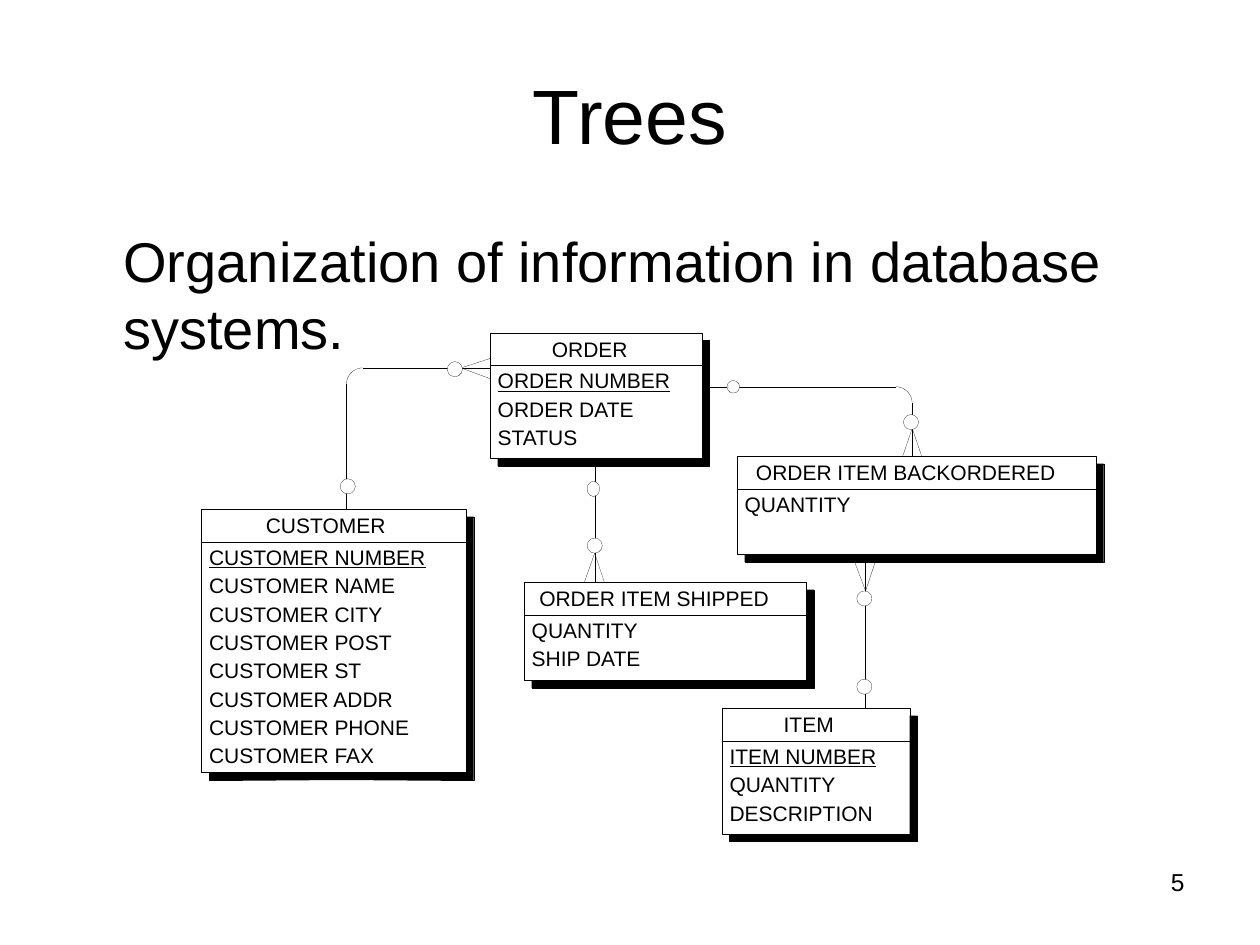
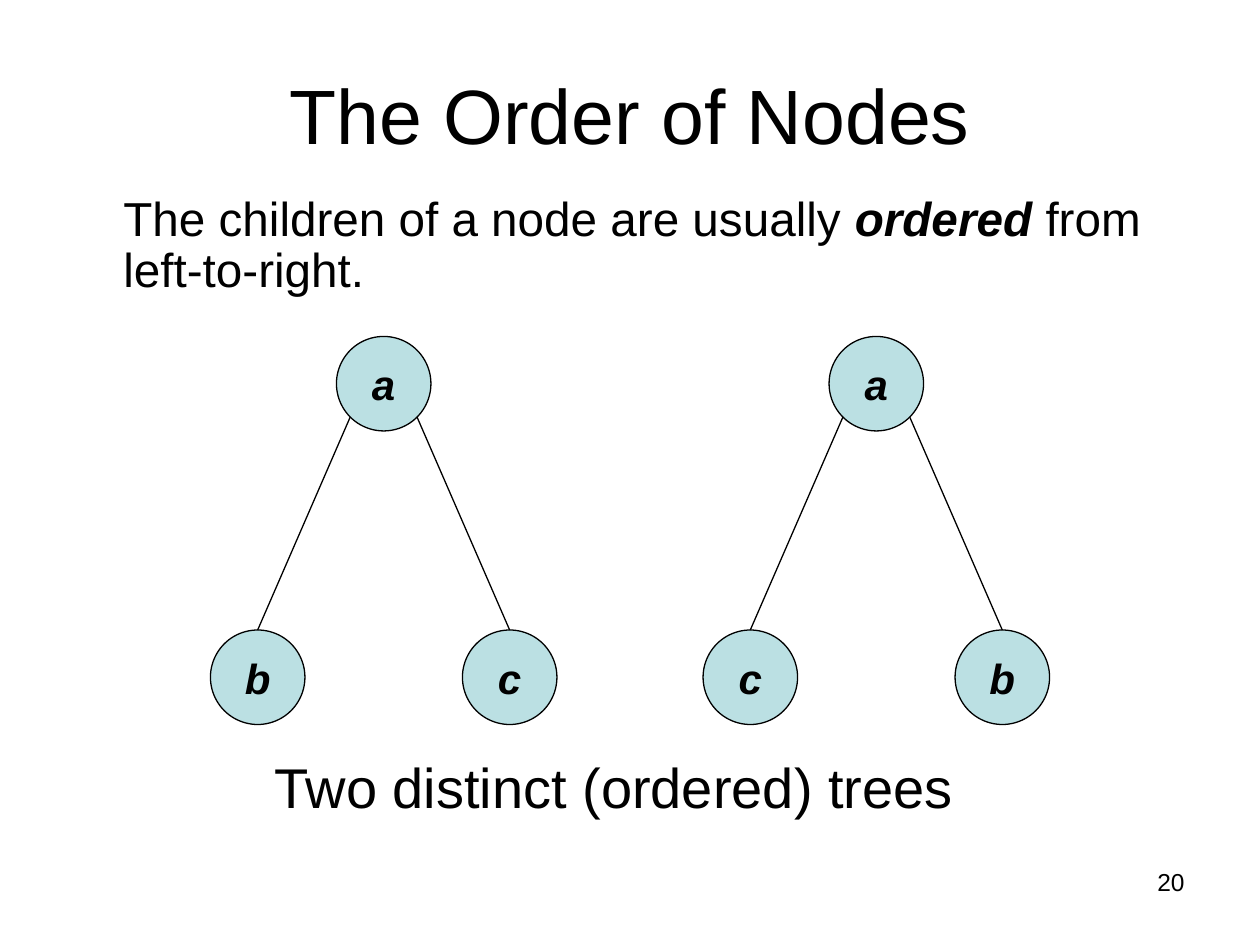
from math import cos, pi, radians, sin

from lxml import etree
from pptx import Presentation
from pptx.dml.color import RGBColor
from pptx.enum.shapes import MSO_CONNECTOR, MSO_SHAPE
from pptx.enum.text import MSO_ANCHOR, PP_ALIGN
from pptx.oxml.ns import qn
from pptx.util import Inches, Pt

FONT = "Arial"
BLACK, WHITE, NODE_FILL = "000000", "FFFFFF", "BBE0E3"
HAIRLINE, THIN = 0.1, 0.75
NODE_SIZE, LEVEL_GAP, SIBLING_GAP = 0.75, 2.33, 2
SHADOW, INDENT, HEADER_H, LINE_GAP = 0.06, 0.06, 0.26, 1.8
TURN_R, RING = 0.13, 0.12

ENTITIES = [
    ("CUSTOMER", (1.6, 4.04, 2.1, 2.09), 0.51, True,
     ["CUSTOMER NUMBER", "CUSTOMER NAME", "CUSTOMER CITY", "CUSTOMER POST",
      "CUSTOMER ST", "CUSTOMER ADDR", "CUSTOMER PHONE", "CUSTOMER FAX"]),
    ("ORDER", (3.89, 2.64, 1.68, 1), 0.49, True,
     ["ORDER NUMBER", "ORDER DATE", "STATUS"]),
    ("ORDER ITEM BACKORDERED", (5.85, 3.62, 2.85, 0.78), 0.15, False,
     ["QUANTITY"]),
    ("ITEM", (5.73, 5.62, 1.49, 1), 0.49, True,
     ["ITEM NUMBER", "QUANTITY", "DESCRIPTION"]),
    ("ORDER ITEM SHIPPED", (4.16, 4.62, 2.24, 0.78), 0.12, False,
     ["QUANTITY", "SHIP DATE"]),
]


def color(value):
    """Turn a hex string into a colour."""
    return RGBColor.from_string(value)


def write(sp, text, size, align=PP_ALIGN.LEFT, anchor=MSO_ANCHOR.TOP,
          insets=(0.1, 0.05, 0.1, 0.05), before=0, after=0, spacing=None, style=""):
    """Write a string, or paragraphs of (text, style) runs; style uses b, i, u."""
    tf = sp.text_frame
    tf.word_wrap = True
    tf.vertical_anchor = anchor
    (tf.margin_left, tf.margin_top,
     tf.margin_right, tf.margin_bottom) = map(Inches, insets)
    paragraphs = [[(text, style)]] if isinstance(text, str) else text
    for i, runs in enumerate(paragraphs):
        p = tf.add_paragraph() if i else tf.paragraphs[0]
        p.alignment = align
        p.space_before, p.space_after = Pt(before), Pt(after)
        if spacing:
            p.line_spacing = spacing
        for words, marks in runs:
            r = p.add_run()
            r.text = words
            r.font.name, r.font.size = FONT, Pt(size)
            r.font.color.rgb = color(BLACK)
            r.font.bold = "b" in marks
            r.font.italic = "i" in marks
            r.font.underline = "u" in marks


def add_text(s, text, box, size, **fmt):
    """Add a text box."""
    write(s.shapes.add_textbox(*map(Inches, box)), text, size, **fmt)


def add_shape(s, kind, box, fill, width=HAIRLINE):
    """Add a filled preset shape with a black outline."""
    sp = s.shapes.add_shape(kind, *map(Inches, box))
    sp.shadow.inherit = False
    sp.fill.solid()
    sp.fill.fore_color.rgb = color(fill)
    sp.line.color.rgb = color(BLACK)
    sp.line.width = Pt(width)
    return sp


def add_line(s, start, end, width=HAIRLINE):
    """Add a straight black line."""
    line = s.shapes.add_connector(MSO_CONNECTOR.STRAIGHT, *map(Inches, start + end))
    line.line.color.rgb = color(BLACK)
    line.line.width = Pt(width)
    etree.SubElement(line._element.spPr, qn("a:effectLst"))


def add_outline(s, points, close=False):
    """Add an unfilled outline through the points."""
    points = [tuple(map(Inches, point)) for point in points]
    builder = s.shapes.build_freeform(*points[0])
    builder.add_line_segments(points[1:], close=close)
    sp = builder.convert_to_shape()
    sp.shadow.inherit = False
    sp.fill.background()
    sp.line.color.rgb = color(BLACK)
    sp.line.width = Pt(HAIRLINE)


def add_turn(s, cx, cy, start):
    """Add a quarter circle that begins at the given angle in degrees."""
    angles = [radians(start) + pi / 2 * i / 12 for i in range(13)]
    add_outline(s, [(cx + TURN_R * cos(a), cy + TURN_R * sin(a)) for a in angles])


def add_ring(s, x, y, w=RING, h=RING):
    """Add the small circle that marks an optional end."""
    add_shape(s, MSO_SHAPE.OVAL, (x, y, w, h), WHITE)


def add_relationships(s):
    """Draw the links between the entities."""
    for start, end in [((7.11, 3.07), (5.21, 3.07)), ((7.24, 4.14), (7.24, 3.2)),
                       ((6.87, 6.19), (6.87, 4.14)), ((4.72, 3.19), (4.72, 5.04)),
                       ((2.75, 3.05), (2.75, 4.8)), ((4.19, 2.92), (2.88, 2.92))]:
        add_line(s, start, end)
    add_turn(s, 7.11, 3.2, 270)
    add_turn(s, 2.88, 3.05, 180)
    for crow_foot in [((7.09, 3.84), (7.24, 3.4), (7.39, 3.84)),
                      ((7.02, 4.24), (6.87, 4.69), (6.7, 4.24)),
                      ((4.56, 4.84), (4.72, 4.39), (4.87, 4.84)),
                      ((4.12, 3.09), (3.66, 2.92), (4.12, 2.77))]:
        add_outline(s, crow_foot, close=True)
    for ring in [(5.77, 3.02, 0.1, 0.1), (7.17, 3.29), (6.8, 5.39), (6.8, 4.69),
                 (4.66, 3.82, 0.1), (4.66, 4.27), (2.7, 3.8), (3.55, 2.87)]:
        add_ring(s, *ring)


def add_entity(s, name, box, name_dx, has_key, attributes):
    """Draw an entity with its shadow, name and attributes."""
    x, y, w, h = box
    add_shape(s, MSO_SHAPE.RECTANGLE, (x + SHADOW, y + SHADOW, w, h), BLACK)
    add_shape(s, MSO_SHAPE.RECTANGLE, box, WHITE)
    add_text(s, name, (x + name_dx, y + 0.03, w - name_dx, 0.2), 12, insets=(0,) * 4)
    add_line(s, (x, y + HEADER_H), (x + w, y + HEADER_H))
    lines = [[(attribute, "u" if has_key and i == 0 else "")]
             for i, attribute in enumerate(attributes)]
    add_text(s, lines, (x + INDENT, y + 0.28, w - INDENT, h - 0.28), 12,
             insets=(0,) * 4, after=LINE_GAP)


def add_node(s, x, y, label):
    """Draw a labelled tree node."""
    sp = add_shape(s, MSO_SHAPE.OVAL, (x, y, NODE_SIZE, NODE_SIZE), NODE_FILL, THIN)
    write(sp, label, 24, align=PP_ALIGN.CENTER, anchor=MSO_ANCHOR.MIDDLE, style="bi")


def add_tree(s, x, y, root, children):
    """Draw a root above its two children."""
    root_x, child_y = x + SIBLING_GAP / 2, y + LEVEL_GAP
    r = NODE_SIZE / 2
    reach = r * cos(pi / 4)
    add_node(s, root_x, y, root)
    for i, label in enumerate(children):
        child_x = x + i * SIBLING_GAP
        add_node(s, child_x, child_y, label)
        side = reach if i else -reach
        add_line(s, (root_x + r + side, y + r + reach), (child_x + r, child_y), THIN)


def add_slide(prs, title, number):
    """Add a blank slide with its title and number."""
    s = prs.slides.add_slide(prs.slide_layouts[6])
    add_text(s, number, (7.17, 6.83, 2.33, 0.52), 14, align=PP_ALIGN.RIGHT)
    add_text(s, title, (0.5, 0.4, 9, 1), 44, align=PP_ALIGN.CENTER,
             anchor=MSO_ANCHOR.MIDDLE)
    return s


def add_body(s, text, box, size, **fmt):
    """Add the indented body text."""
    add_text(s, text, box, size, insets=(0.48, 0.05, 0.1, 0.05), before=8, **fmt)


def build_database_slide(prs):
    """Build the slide with the entity diagram."""
    s = add_slide(prs, "Trees", "5")
    add_body(s, "Organization of information in database systems.",
             (0.5, 1.75, 9, 1.5), 32)
    add_relationships(s)
    for entity in ENTITIES:
        add_entity(s, *entity)


def build_order_slide(prs):
    """Build the slide with the two ordered trees."""
    s = add_slide(prs, "The Order of Nodes", "20")
    add_body(s, [[("The children of a node are usually ", ""), ("ordered ", "bi"),
                  ("from left-to-right.", "")]],
             (0.5, 1.5, 9, 1.08), 27.2, spacing=0.9)
    add_tree(s, 1.67, 2.67, "a", "bc")
    add_tree(s, 5.58, 2.67, "a", "cb")
    add_text(s, "Two distinct (ordered) trees", (2.08, 5.92, 5.61, 0.64), 32)


def main():
    """Build and save the presentation."""
    prs = Presentation()
    prs.slide_width, prs.slide_height = Inches(10), Inches(7.5)
    build_database_slide(prs)
    build_order_slide(prs)
    prs.save("out.pptx")


if __name__ == "__main__":
    main()
